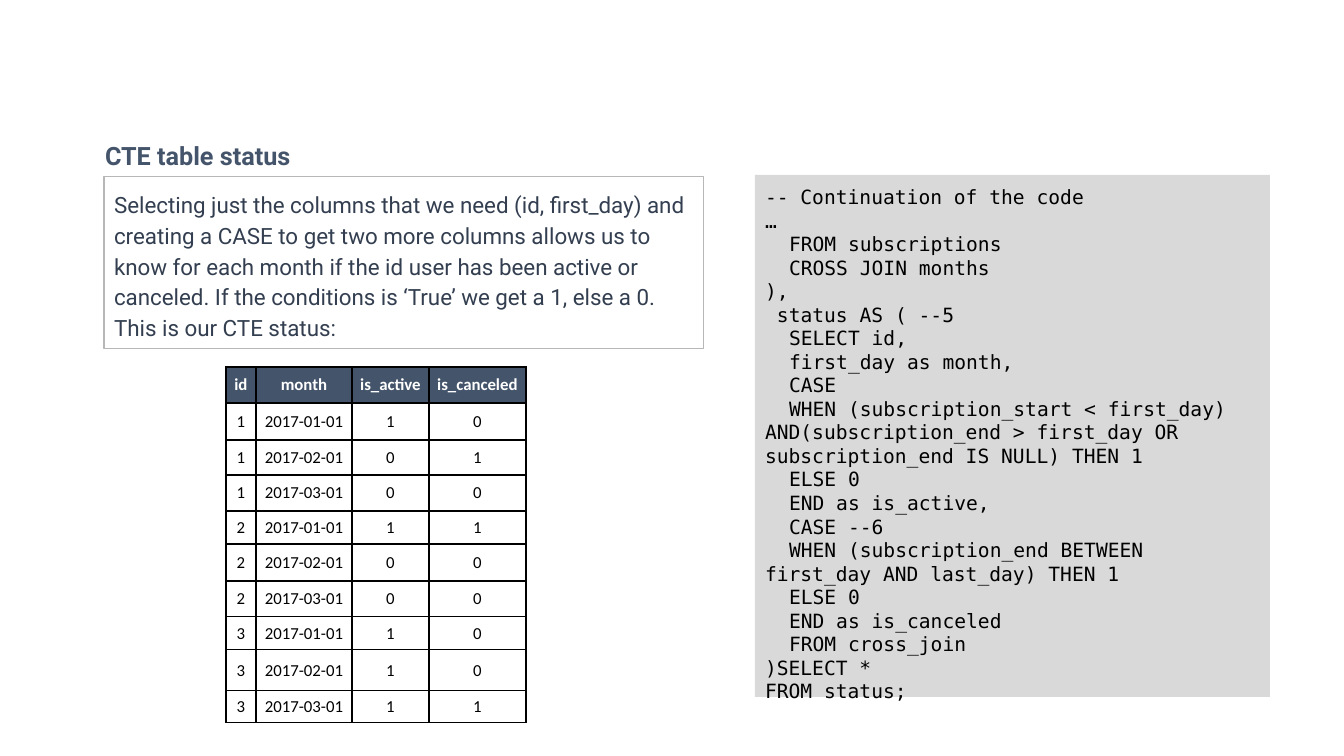
from pptx import Presentation
from pptx.dml.color import RGBColor
from pptx.enum.shapes import MSO_SHAPE as Shape
from pptx.enum.text import MSO_ANCHOR as Anchor, MSO_AUTO_SIZE as Auto, PP_ALIGN as Align
from pptx.util import Pt
from lxml.etree import SubElement
from pptx.oxml.ns import qn

BLACK = RGBColor(0, 0, 0)
WHITE = RGBColor(255, 255, 255)
SLATE = RGBColor(0x44, 0x54, 0x6A)
INK = RGBColor(0x33, 0x3F, 0x50)
GREY = RGBColor(0xD9, 0xD9, 0xD9)
EDGE = RGBColor(0xB7, 0xB7, 0xB7)

TITLE = "CTE table status"
NOTE = (
    "Selecting just the columns that we need (id, first_day) and creating a CASE "
    "to get two more columns allows us to know for each month if the id user has "
    "been active or canceled. If the conditions is ‘True’ we get a 1, else a 0. "
    "This is our CTE status:"
)
CODE = [
    (0, "-- Continuation of the code"),
    (0, "…"),
    (2, "FROM subscriptions"),
    (2, "CROSS JOIN months"),
    (0, "),"),
    (1, "status AS ( --5"),
    (2, "SELECT id,"),
    (2, "first_day as month,"),
    (2, "CASE"),
    (2, "WHEN (subscription_start < first_day) AND(subscription_end > first_day OR "
        "subscription_end IS NULL) THEN 1"),
    (2, "ELSE 0"),
    (2, "END as is_active,"),
    (2, "CASE --6"),
    (2, "WHEN (subscription_end BETWEEN first_day AND last_day) THEN 1"),
    (2, "ELSE 0"),
    (2, "END as is_canceled"),
    (2, "FROM cross_join"),
    (0, ")SELECT *"),
    (0, "FROM status;"),
]
HEAD = ("id", "month", "is_active", "is_canceled")
DATES = ("2017-01-01", "2017-02-01", "2017-03-01")
FLAGS = [(1, 0), (0, 1), (0, 0), (1, 1), (0, 0), (0, 0), (1, 0), (1, 0), (1, 1)]
ROWS = [HEAD] + [(i // 3 + 1, DATES[i % 3], *f) for i, f in enumerate(FLAGS)]
WIDTHS = (30, 96, 77, 97)
HEIGHTS = (36, 37, 35, 36, 33, 37, 36, 33, 41, 32)
STEP = 12


def px(n):
    return round(n * 914400 / 100.8)


def write(frame, lines, font, size, color, bold=False, align=Align.LEFT, gap=None):
    for i, (depth, text) in enumerate(lines):
        par = frame.add_paragraph() if i else frame.paragraphs[0]
        par.alignment = align
        if gap:
            par.line_spacing = gap
        if depth:
            par._p.get_or_add_pPr().set("indent", str(px(depth * STEP)))
        run = par.add_run()
        run.text = text
        run.font.name, run.font.size, run.font.bold = font, Pt(size), bold
        run.font.color.rgb = color


def setup(frame, side, top):
    frame.word_wrap = True
    frame.auto_size = Auto.NONE
    frame.vertical_anchor = Anchor.TOP
    frame.margin_left = frame.margin_right = px(side)
    frame.margin_top = frame.margin_bottom = px(top)


def panel(slide, box, fill=None, line=None):
    rect = slide.shapes.add_shape(Shape.RECTANGLE, *map(px, box))
    rect.shadow.inherit = False
    if fill is None:
        rect.fill.background()
    else:
        rect.fill.solid()
        rect.fill.fore_color.rgb = fill
    if line is None:
        rect.line.fill.background()
    else:
        rect.line.color.rgb = line
        rect.line.width = Pt(0.75)
    setup(rect.text_frame, 10, 10)
    return rect.text_frame


def border(cell):
    props = cell._tc.get_or_add_tcPr()
    for i, side in enumerate(("lnL", "lnR", "lnT", "lnB")):
        line = SubElement(props, qn("a:" + side), w=str(Pt(1)))
        fill = SubElement(line, qn("a:solidFill"))
        SubElement(fill, qn("a:srgbClr"), val=str(BLACK))
        props.remove(line)
        props.insert(i, line)


def grid(slide, left, top):
    size = (sum(WIDTHS), sum(HEIGHTS))
    table = slide.shapes.add_table(
        len(ROWS), len(HEAD), *map(px, (left, top, *size))).table
    table.horz_banding = False
    for col, wide in zip(table.columns, WIDTHS):
        col.width = px(wide)
    for r, (row, high) in enumerate(zip(ROWS, HEIGHTS)):
        table.rows[r].height = px(high)
        for c, value in enumerate(row):
            cell = table.cell(r, c)
            cell.vertical_anchor = Anchor.MIDDLE
            cell.margin_left = cell.margin_right = px(7)
            cell.margin_top = cell.margin_bottom = px(3)
            if r:
                cell.fill.background()
            else:
                cell.fill.solid()
                cell.fill.fore_color.rgb = SLATE
            border(cell)
            write(cell.text_frame, [(0, str(value))], "Calibri", 12,
                  BLACK if r else WHITE, bold=not r, align=Align.CENTER)


def main():
    deck = Presentation()
    deck.slide_width, deck.slide_height = px(1344), px(756)
    slide = deck.slides.add_slide(deck.slide_layouts[5])

    title = slide.shapes.title
    title.left, title.top, title.width, title.height = map(px, (95, 135, 385, 40))
    setup(title.text_frame, 10, 5)
    write(title.text_frame, [(0, TITLE)], "Roboto", 18, SLATE, bold=True)

    code = panel(slide, (755, 175, 515, 522), fill=GREY)
    write(code, CODE, "DejaVu Sans Mono", 14, BLACK)
    note = panel(slide, (104, 177, 600, 172), line=EDGE)
    write(note, [(0, NOTE)], "Roboto", 16, INK, gap=1.15)
    grid(slide, 226, 367)
    deck.save("out.pptx")


if __name__ == "__main__":
    main()
